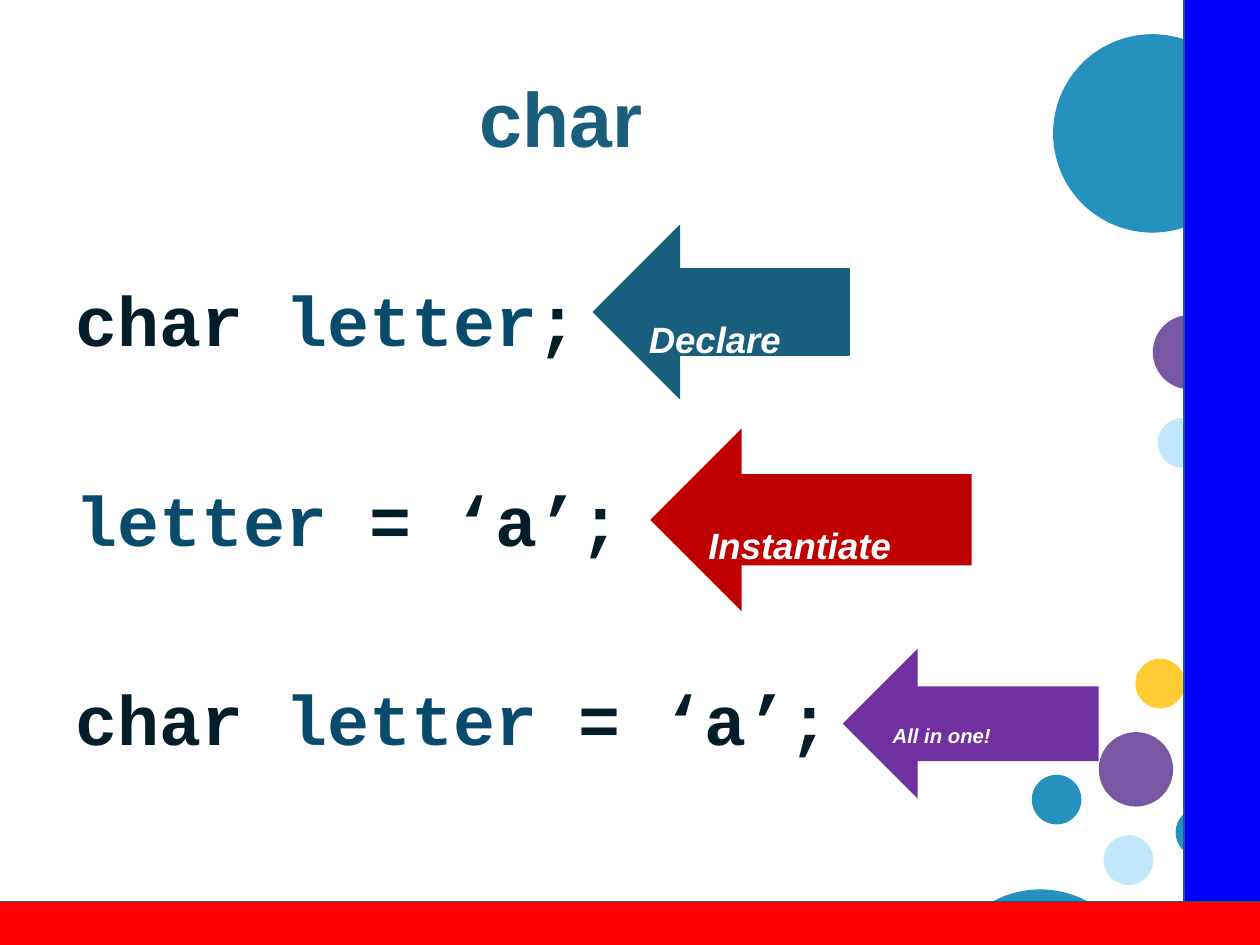
from typing import NamedTuple

from pptx import Presentation
from pptx import util as u
from pptx.dml.color import RGBColor
from pptx.enum import shapes, text

BLUE, TEAL, PLUM, SKY, GOLD = "2691BF", "195E7D", "7958A3", "C0E7FA", "FFCC33"
INK, NAME, WHITE = "031D29", "094B6D", "FFFFFF"
KIND = shapes.MSO_SHAPE
TOP, MID = text.MSO_ANCHOR.TOP, text.MSO_ANCHOR.MIDDLE
LEFT, MIDST = text.PP_ALIGN.LEFT, text.PP_ALIGN.CENTER


class Box(NamedTuple):
    """Place and size in centimetres."""
    x: float
    y: float
    w: float
    h: float


class Dot(NamedTuple):
    """A round ornament."""
    x: float
    y: float
    size: float
    fill: str


class Bar(NamedTuple):
    """A band along an edge."""
    box: Box
    fill: str


class Arrow(NamedTuple):
    """A labelled arrow pointing at a line of code."""
    box: Box
    fill: str
    line: str | None
    label: str
    size: int
    anchor: text.MSO_ANCHOR


DOTS = [
    Dot(22.89, 13.28, 1, GOLD),
    Dot(22.15, 14.76, 1.5, PLUM),
    Dot(20.8, 15.62, 1, BLUE),
    Dot(22.25, 16.84, 1, SKY),
    Dot(23.7, 16.28, 1, BLUE),
    Dot(21.23, 0.69, 4, BLUE),
    Dot(23.24, 6.35, 1.5, PLUM),
    Dot(23.34, 8.43, 1, SKY),
    Dot(18.97, 17.93, 4, BLUE),
]
BARS = [
    Bar(Box(23.87, -0.3, 2.16, 20.7), "0000FF"),
    Bar(Box(-0.51, 18.18, 28.12, 1.55), "FF0000"),
]
ARROWS = [
    Arrow(Box(11.96, 4.55, 5.16, 3.48), TEAL, TEAL, "Declare", 36, TOP),
    Arrow(Box(13.11, 8.64, 6.48, 3.68), "C00000", None, "Instantiate", 36, TOP),
    Arrow(Box(16.99, 13.08, 5.16, 3.02), "7030A0", None, "All in one!", 20, MID),
]
CODE = [
    [("char ", INK), ("letter", NAME), (";", INK)],
    [("letter ", NAME), ("= ‘a’;", INK)],
    [("char ", INK), ("letter", NAME), (" = ‘a’;", INK)],
]


def tint(code: str) -> RGBColor:
    """Turn a hex string into a colour."""
    return RGBColor.from_string(code)


def span(box: Box) -> list[u.Length]:
    """Give a box as slide lengths."""
    return [u.Cm(side) for side in box]


def draw(kind: KIND, box: Box, fill: str, line: str | None = None):
    """Add a flat preset shape."""
    shape = slide.shapes.add_shape(kind, *span(box))
    shape.shadow.inherit = False
    shape.fill.solid()
    shape.fill.fore_color.rgb = tint(fill)
    if line:
        shape.line.color.rgb = tint(line)
        shape.line.width = u.Pt(0.75)
    else:
        shape.line.fill.background()
    return shape


def write(para, words: str, *, size: int, color: str, font: str = "Arial",
          slant: bool = False, shift: int = 0) -> None:
    """Add a bold run; shift is its baseline offset in percent."""
    run = para.add_run()
    run.text = words
    run.font.name, run.font.size = font, u.Pt(size)
    run.font.bold, run.font.italic = True, slant
    run.font.color.rgb = tint(color)
    if shift:
        run.font._element.set("baseline", str(shift * 1000))


def frame(shape, anchor: text.MSO_ANCHOR):
    """Set wrapping and anchor, and return the text frame."""
    area = shape.text_frame
    area.word_wrap = True
    area.vertical_anchor = anchor
    return area


deck = Presentation()
deck.slide_width, deck.slide_height = u.Cm(25.4), u.Cm(19.05)
slide = deck.slides.add_slide(deck.slide_layouts[6])

for dot in DOTS:
    draw(KIND.OVAL, Box(dot.x, dot.y, dot.size, dot.size), dot.fill)
for bar in BARS:
    draw(KIND.RECTANGLE, bar.box, bar.fill, TEAL)

title = slide.shapes.add_textbox(*span(Box(1.27, 0.76, 20.09, 3.18)))
head = frame(title, MID).paragraphs[0]
head.alignment = MIDST
write(head, "char", size=44, color=TEAL)

body = frame(slide.shapes.add_textbox(*span(Box(1.27, 5.46, 21.11, 11.56))), TOP)
for row, parts in enumerate(CODE):
    para = body.add_paragraph() if row else body.paragraphs[0]
    para.space_before = u.Pt(66 if row else 8)
    for words, color in parts:
        write(para, words, size=40, color=color, font="Courier New")

for arrow in ARROWS:
    shape = draw(KIND.LEFT_ARROW, arrow.box, arrow.fill, arrow.line)
    para = frame(shape, arrow.anchor).paragraphs[0]
    para.alignment = LEFT
    write(para, arrow.label, size=arrow.size, color=WHITE, slant=True, shift=-25)

deck.save("out.pptx")
